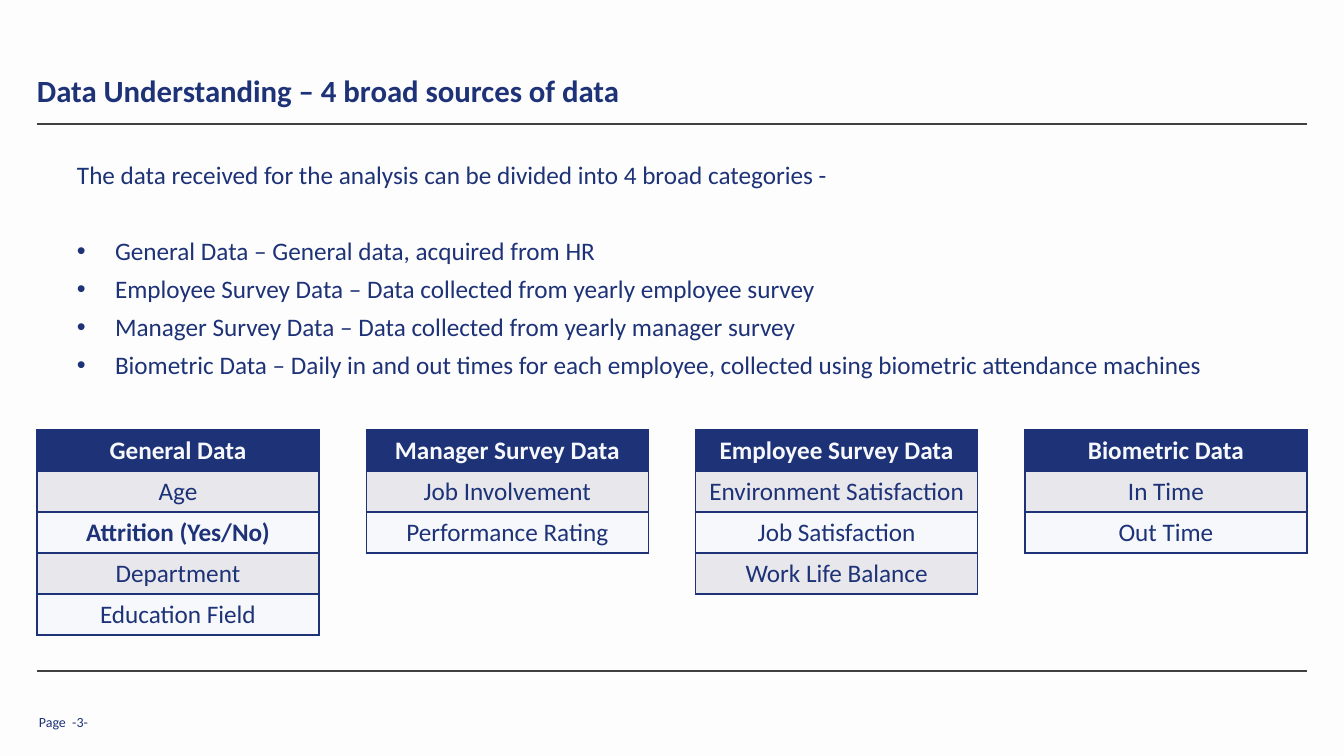
import dataclasses

import lxml.etree
import pptx
import pptx.dml.color
import pptx.enum.shapes
import pptx.enum.text
import pptx.oxml.ns
import pptx.util

SLIDE_WIDTH, SLIDE_HEIGHT = 1344, 756
LEFT, RIGHT = 37, 1307
SCALE = 12192000 / SLIDE_WIDTH


@dataclasses.dataclass(frozen=True)
class Theme:
    font: str = "Calibri"
    navy: str = "1D3277"
    rule: str = "404041"
    band: str = "E8E8EC"
    pale: str = "F6F8FC"
    background: str = "FDFDFD"
    title_size: int = 22
    body_size: int = 18
    page_size: int = 10


THEME = Theme()

INTRO = "The data received for the analysis can be divided into 4 broad categories -"
SOURCES = [
    "General Data – General data, acquired from HR",
    "Employee Survey Data – Data collected from yearly employee survey",
    "Manager Survey Data – Data collected from yearly manager survey",
    "Biometric Data – Daily in and out times for each employee, "
    "collected using biometric attendance machines",
]
FIELDS = {
    "General Data": ["Age", "Attrition (Yes/No)", "Department", "Education Field"],
    "Manager Survey Data": ["Job Involvement", "Performance Rating"],
    "Employee Survey Data": [
        "Environment Satisfaction", "Job Satisfaction", "Work Life Balance",
    ],
    "Biometric Data": ["In Time", "Out Time"],
}
HIGHLIGHTED = "Attrition (Yes/No)"


def px(length):
    return pptx.util.Emu(round(length * SCALE))


def rgb(color):
    return pptx.dml.color.RGBColor.from_string(color)


def add_xml(parent, tag, **attributes):
    return lxml.etree.SubElement(parent, pptx.oxml.ns.qn(tag), attributes)


def write(paragraph, text, size=THEME.body_size, color=THEME.navy, bold=False,
          align=pptx.enum.text.PP_ALIGN.LEFT, before=0, line=1.0, indent=0):
    paragraph.alignment = align
    paragraph.space_before = pptx.util.Pt(before)
    paragraph.line_spacing = line
    if indent:
        properties = paragraph._p.get_or_add_pPr()
        properties.set("marL", str(px(indent)))
        properties.set("indent", str(-px(indent)))
        add_xml(properties, "a:buFont", typeface="Arial")
        add_xml(properties, "a:buChar", char="•")
    run = paragraph.add_run()
    run.text = text
    run.font.name = THEME.font
    run.font.size = pptx.util.Pt(size)
    run.font.bold = bold
    run.font.color.rgb = rgb(color)


def add_text_frame(slide, left, top, width, height,
                   anchor=pptx.enum.text.MSO_ANCHOR.TOP):
    frame = slide.shapes.add_textbox(px(left), px(top), px(width), px(height)).text_frame
    frame.word_wrap = True
    frame.vertical_anchor = anchor
    frame.margin_left = frame.margin_right = 0
    frame.margin_top = frame.margin_bottom = 0
    return frame


def add_rule(slide, y):
    rule = slide.shapes.add_connector(
        pptx.enum.shapes.MSO_CONNECTOR.STRAIGHT, px(LEFT), px(y), px(RIGHT), px(y))
    rule.line.color.rgb = rgb(THEME.rule)
    rule.line.width = pptx.util.Pt(1)
    add_xml(rule._element.spPr, "a:effectLst")


def fill_cell(cell, text, fill, **text_format):
    cell.vertical_anchor = pptx.enum.text.MSO_ANCHOR.TOP
    write(cell.text_frame.paragraphs[0], text,
          align=pptx.enum.text.PP_ALIGN.CENTER, **text_format)
    properties = cell._tc.get_or_add_tcPr()
    for side in ("a:lnL", "a:lnR", "a:lnT", "a:lnB"):
        border = add_xml(properties, side, w=str(pptx.util.Pt(1)))
        add_xml(add_xml(border, "a:solidFill"), "a:srgbClr", val=THEME.navy)
    cell.fill.solid()
    cell.fill.fore_color.rgb = rgb(fill)


def add_field_table(slide, left, top, width, row_height, heading, fields):
    row_count = len(fields) + 1
    table = slide.shapes.add_table(
        row_count, 1, px(left), px(top), px(width), px(row_height * row_count)).table
    table.first_row = table.horz_banding = False
    for row in table.rows:
        row.height = px(row_height)
    fill_cell(table.cell(0, 0), heading, THEME.navy, color=THEME.pale, bold=True)
    for number, field in enumerate(fields, start=1):
        fill_cell(table.cell(number, 0), field,
                  THEME.band if number % 2 else THEME.pale, bold=field == HIGHLIGHTED)


def add_overview(slide):
    overview = add_text_frame(slide, 77, 159, 1131, 277)
    write(overview.paragraphs[0], INTRO, before=5.5)
    for number, source in enumerate(SOURCES):
        write(overview.add_paragraph(), source, indent=38,
              before=5.5 if number else 33)


def add_field_tables(slide):
    width = 282
    pitch = (RIGHT - LEFT - width) / (len(FIELDS) - 1)
    for number, (heading, fields) in enumerate(FIELDS.items()):
        add_field_table(slide, LEFT + number * pitch, 430, width, 41, heading, fields)


def main():
    presentation = pptx.Presentation()
    presentation.slide_width, presentation.slide_height = px(SLIDE_WIDTH), px(SLIDE_HEIGHT)
    slide = presentation.slides.add_slide(presentation.slide_layouts[6])
    slide.background.fill.solid()
    slide.background.fill.fore_color.rgb = rgb(THEME.background)

    middle = pptx.enum.text.MSO_ANCHOR.MIDDLE
    bottom = pptx.enum.text.MSO_ANCHOR.BOTTOM
    add_rule(slide, 671)
    page = add_text_frame(slide, 39, 713, 90, 17, anchor=middle)
    write(page.paragraphs[0], "Page  -3-", size=THEME.page_size)
    add_rule(slide, 124)
    title = add_text_frame(slide, LEFT, 21, RIGHT - LEFT, 88, anchor=bottom)
    write(title.paragraphs[0], "Data Understanding – 4 broad sources of data",
          size=THEME.title_size, bold=True, line=0.9)
    add_overview(slide)
    add_field_tables(slide)
    presentation.save("out.pptx")


if __name__ == "__main__":
    main()
